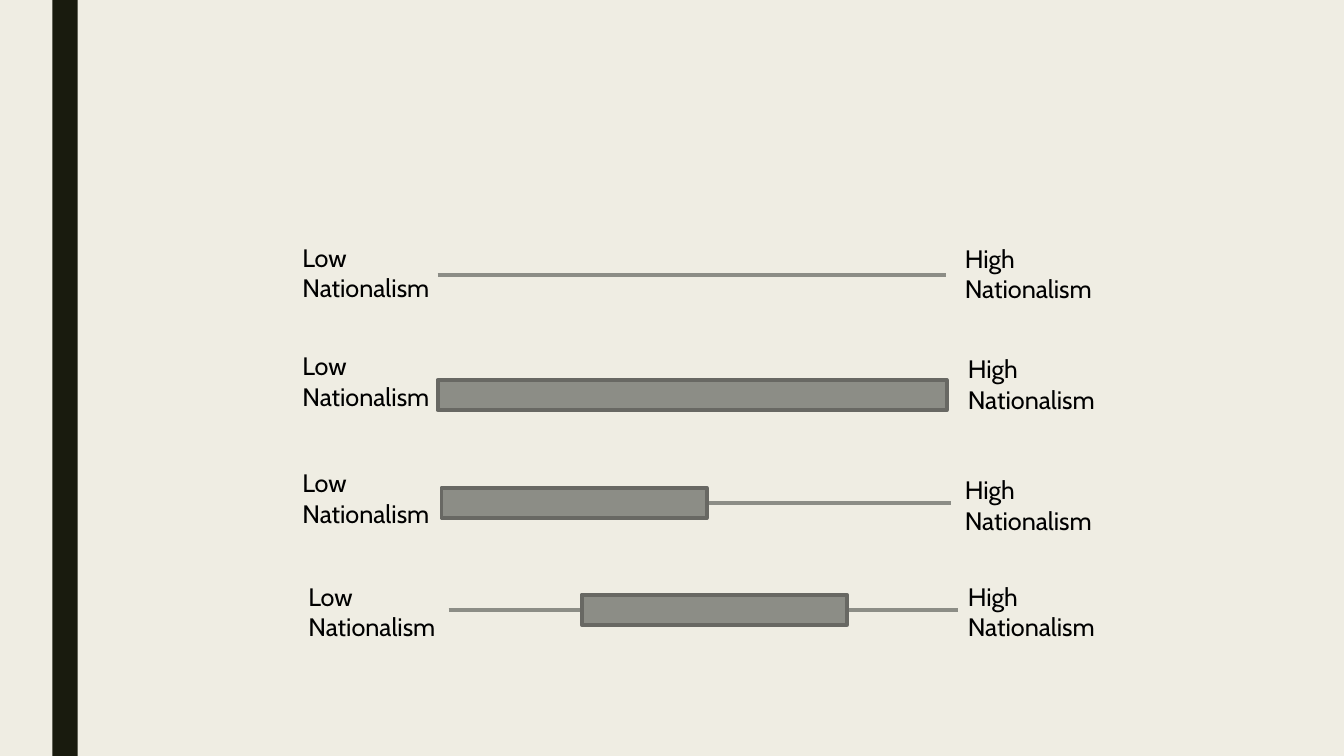
import pptx
import pptx.dml.color
import pptx.enum.shapes
import pptx.enum.text
import pptx.util
from lxml import etree
from pptx.oxml.ns import qn
from pptx.util import Inches

BACKGROUND, STRIPE, INK = "EFEDE3", "191B0E", "000000"
GREY, DARK_GREY = "8C8D86", "686863"
LEFT_SIDE, RIGHT_SIDE = 1, 3


def color(hex_string):
    return pptx.dml.color.RGBColor.from_string(hex_string)


def add_text(p, text, size=18, font="Cabin", ink=INK):
    r = p.add_run()
    r.text = text
    r.font.size = pptx.util.Pt(size)
    r.font.name = font
    r.font.color.rgb = color(ink)


class ScaleSlide:
    line_width = pptx.util.Pt(2.75)
    label_size = (1.52, 0.71)
    bar_height = 0.3

    def __init__(self, prs):
        self.s = prs.slides.add_slide(prs.slide_layouts[6])
        fill = self.s.background.fill
        fill.solid()
        fill.fore_color.rgb = color(BACKGROUND)

    def rect(self, left, top, width, height, fill, outline=None):
        sp = self.s.shapes.add_shape(
            pptx.enum.shapes.MSO_SHAPE.RECTANGLE,
            Inches(left), Inches(top), Inches(width), Inches(height))
        sp.shadow.inherit = False
        sp.fill.solid()
        sp.fill.fore_color.rgb = color(fill)
        if outline:
            sp.line.color.rgb = color(outline)
            sp.line.width = self.line_width
        else:
            sp.line.fill.background()
        return sp

    def line(self, start, end, y):
        cx = self.s.shapes.add_connector(
            pptx.enum.shapes.MSO_CONNECTOR.STRAIGHT,
            Inches(start), Inches(y), Inches(end), Inches(y))
        cx.line.color.rgb = color(GREY)
        cx.line.width = self.line_width
        etree.SubElement(cx._element.spPr, qn("a:effectLst"))
        return cx

    def label(self, text, left, top):
        width, height = self.label_size
        tf = self.s.shapes.add_textbox(
            Inches(left), Inches(top), Inches(width), Inches(height)).text_frame
        tf.word_wrap = True
        tf.auto_size = pptx.enum.text.MSO_AUTO_SIZE.SHAPE_TO_FIT_TEXT
        add_text(tf.paragraphs[0], text)

    def scale(self, low, high, axis, bar=None):
        """Draw one scale: end labels, an axis and an optional range bar."""
        self.label("Low Nationalism", *low)
        self.label("High Nationalism", *high)
        start, end, y = axis
        cx = self.line(start, end, y)
        if bar:
            left, width = bar
            sp = self.rect(left, y - self.bar_height / 2, width,
                           self.bar_height, GREY, DARK_GREY)
            if left == start:
                cx.begin_connect(sp, LEFT_SIDE)
            if left + width == end:
                cx.end_connect(sp, RIGHT_SIDE)


# Low label, high label, axis (start, end, y), bar (left, width)
SCALES = [
    ((2.9, 2.35), (9.47, 2.36), (4.34, 9.38, 2.73), None),
    ((2.9, 3.43), (9.5, 3.46), (4.34, 4.34 + 5.05, 3.92), (4.34, 5.05)),
    ((2.9, 4.59), (9.47, 4.66), (4.38, 9.43, 4.99), (4.38, 2.63)),
    ((2.96, 5.72), (9.5, 5.72), (4.45, 9.5, 6.05), (5.77, 2.63)),
]


def main():
    prs = pptx.Presentation()
    prs.slide_width, prs.slide_height = Inches(13.33), Inches(7.5)
    slide = ScaleSlide(prs)

    # Side stripe
    slide.rect(0.52, 0, 0.25, 7.5, STRIPE)

    # Nationalism scales
    for row in SCALES:
        slide.scale(*row)

    prs.save("out.pptx")


if __name__ == "__main__":
    main()
